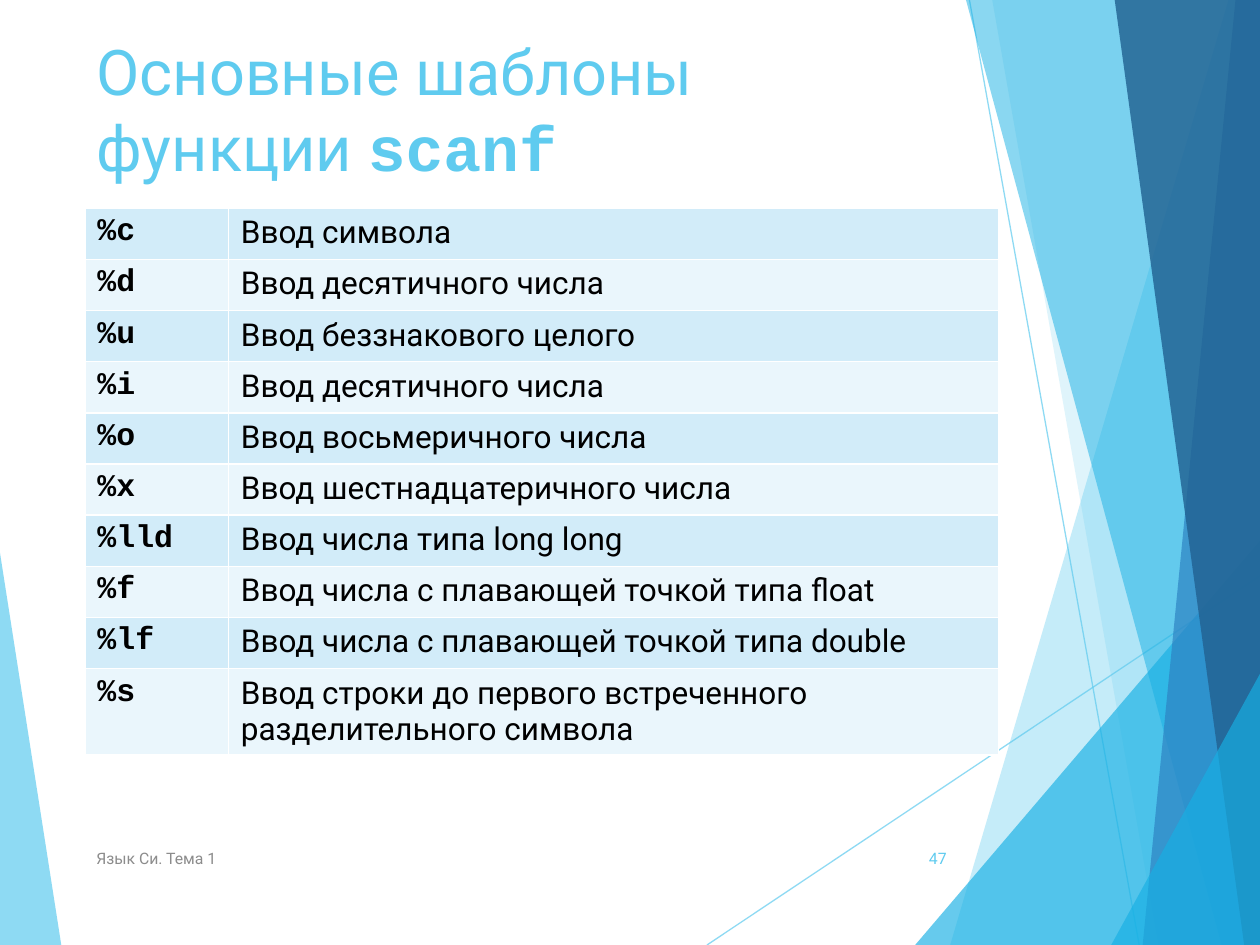
from dataclasses import dataclass

from lxml.etree import SubElement
from pptx import Presentation
from pptx.dml.color import RGBColor as RGB
from pptx.enum.shapes import MSO_CONNECTOR as CONN
from pptx.enum.text import MSO_ANCHOR as ANCHOR, MSO_AUTO_SIZE as AUTO, PP_ALIGN as ALIGN
from pptx.oxml.ns import qn
from pptx.util import Pt

WIDTH, HEIGHT = 720, 540


@dataclass(frozen=True)
class Theme:
    sky: str = "5FCBEF"
    cyan: str = "17B0E4"
    blue: str = "2E83C3"
    navy: str = "226292"
    bands: tuple = ("D2ECF9", "EAF6FC")
    border: str = "FFFFFF"
    text: str = "000000"
    muted: str = "8C8C8C"
    sans: str = "Roboto"
    mono: str = "Courier New"
    title_size: int = 36
    table_size: int = 18
    footer_size: int = 9


class SlideBuilder:
    def __init__(self, slide, theme):
        self.s = slide
        self.theme = theme

    def set_alpha(self, fill_parent, percent):
        color = fill_parent.find(".//" + qn("a:srgbClr"))
        SubElement(color, qn("a:alpha")).set("val", str(percent * 1000))

    def run(self, p, text, size, color, mono=False):
        r = p.add_run()
        r.text = text
        r.font.name = self.theme.mono if mono else self.theme.sans
        r.font.size = Pt(size)
        r.font.bold = mono
        r.font.color.rgb = RGB.from_string(color)

    def polygon(self, points, color, alpha):
        builder = self.s.shapes.build_freeform(*points[0], scale=Pt(1))
        builder.add_line_segments(points[1:], close=True)
        sp = builder.convert_to_shape()
        sp.shadow.inherit = False
        sp.fill.solid()
        sp.fill.fore_color.rgb = RGB.from_string(color)
        sp.line.fill.background()
        self.set_alpha(sp.fill._xPr.find(qn("a:solidFill")), alpha)

    def line(self, start, end, color, alpha):
        sp = self.s.shapes.add_connector(CONN.STRAIGHT, *map(Pt, start + end))
        sp.line.width = Pt(0.75)
        sp.line.color.rgb = RGB.from_string(color)
        self.set_alpha(sp.line._ln, alpha)
        SubElement(sp._element.spPr, qn("a:effectLst"))

    def title(self, box, runs):
        sp = self.s.shapes.title
        sp.left, sp.top, sp.width, sp.height = map(Pt, box)
        tf = sp.text_frame
        tf.word_wrap = True
        tf.auto_size = AUTO.NONE
        tf.vertical_anchor = ANCHOR.TOP
        p = tf.paragraphs[0]
        p.alignment = ALIGN.LEFT
        for text, mono in runs:
            self.run(p, text, self.theme.title_size, self.theme.sky, mono)

    def label(self, box, text, color, align=ALIGN.LEFT):
        tf = self.s.shapes.add_textbox(*map(Pt, box)).text_frame
        tf.word_wrap = True
        tf.vertical_anchor = ANCHOR.MIDDLE
        p = tf.paragraphs[0]
        p.alignment = align
        self.run(p, text, self.theme.footer_size, color)

    def cell_borders(self, cell):
        tc_pr = cell._tc.get_or_add_tcPr()
        for side in ("lnL", "lnR", "lnT", "lnB"):
            ln = SubElement(tc_pr, qn("a:" + side), w=str(Pt(1)))
            fill = SubElement(ln, qn("a:solidFill"))
            SubElement(fill, qn("a:srgbClr"), val=self.theme.border)

    def table(self, left, top, col_widths, row_height, rows):
        """Add a banded table whose first column is set in the code font."""
        frame = self.s.shapes.add_table(
            len(rows), len(col_widths), Pt(left), Pt(top),
            Pt(sum(col_widths)), Pt(row_height * len(rows)))
        table = frame.table
        table.first_row = table.horz_banding = False
        for column, width in zip(table.columns, col_widths):
            column.width = Pt(width)
        for i, row in enumerate(rows):
            table.rows[i].height = Pt(row_height)
            for j, text in enumerate(row):
                cell = table.cell(i, j)
                self.cell_borders(cell)
                cell.fill.solid()
                cell.fill.fore_color.rgb = RGB.from_string(self.theme.bands[i % 2])
                self.run(cell.text_frame.paragraphs[0], text,
                         self.theme.table_size, self.theme.text, mono=j == 0)


def draw_backdrop(b):
    t = b.theme
    b.polygon([(0, 316), (35, HEIGHT), (0, HEIGHT)], t.sky, 70)
    b.line((404, HEIGHT), (WIDTH, 329), t.sky, 70)
    b.line((554, 0), (651, HEIGHT), t.sky, 70)

    # Each facet runs from its upper corner to the bottom edge and fills to the right.
    facets = [
        ((702, 0), 543, t.sky, 36),
        ((567, 0), 662, t.sky, 20),
        ((WIDTH, 309), 523, t.cyan, 66),
        ((552, 0), 698, t.cyan, 50),
        ((706, 0), 653, t.blue, 70),
        ((637, 0), 711, t.navy, 82),
        ((WIDTH, 385), 635, t.cyan, 66),
    ]
    for corner, bottom_x, color, alpha in facets:
        points = [corner, (bottom_x, HEIGHT), (WIDTH, HEIGHT)]
        if corner[0] < WIDTH:
            points.append((WIDTH, corner[1]))
        b.polygon(points, color, alpha)


FORMATS = [
    ("%c", "Ввод символа"),
    ("%d", "Ввод десятичного числа"),
    ("%u", "Ввод беззнакового целого"),
    ("%i", "Ввод десятичного числа"),
    ("%o", "Ввод восьмеричного числа"),
    ("%x", "Ввод шестнадцатеричного числа"),
    ("%lld", "Ввод числа типа long long"),
    ("%f", "Ввод числа с плавающей точкой типа float"),
    ("%lf", "Ввод числа с плавающей точкой типа double"),
    ("%s", "Ввод строки до первого встреченного разделительного символа"),
]


def main():
    prs = Presentation()
    prs.slide_width, prs.slide_height = Pt(WIDTH), Pt(HEIGHT)
    b = SlideBuilder(prs.slides.add_slide(prs.slide_layouts[5]), Theme())

    draw_backdrop(b)
    b.title((48, 15, 500, 104), [("Основные шаблоны функции ", False), ("scanf", True)])
    b.table(48.5, 119, (82, 440), 29.25, FORMATS)
    b.label((48, 476, 364, 29), "Язык Си. Тема 1", b.theme.muted)
    b.label((508, 476, 40, 29), "47", b.theme.sky, ALIGN.RIGHT)

    prs.save("out.pptx")


if __name__ == "__main__":
    main()
